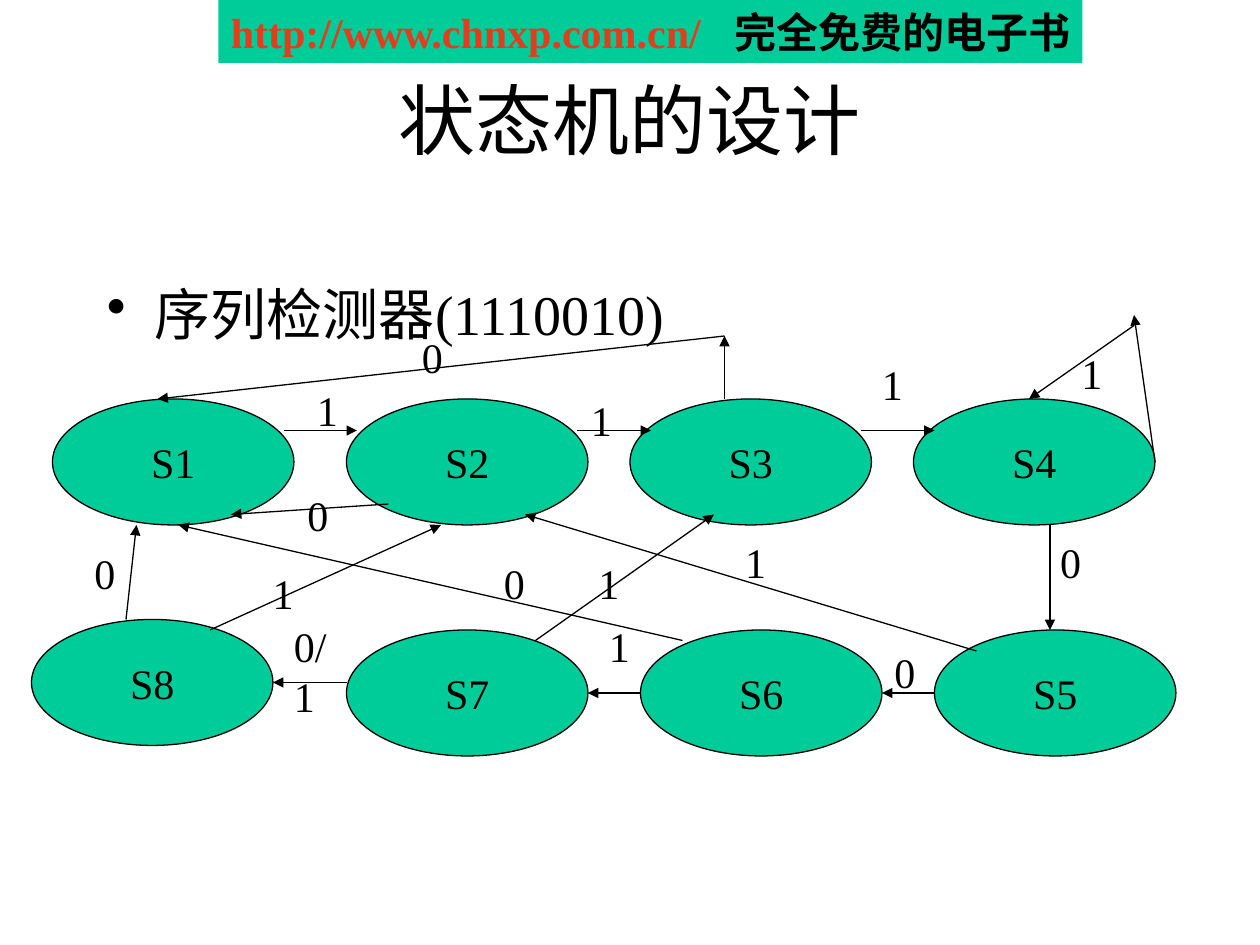
"""Build the slide of the sequence detector's state machine."""
from dataclasses import dataclass
from typing import Any, Optional

from lxml.etree import SubElement
from pptx import Presentation
from pptx.dml.color import RGBColor
from pptx.enum.shapes import MSO_CONNECTOR, MSO_SHAPE
from pptx.enum.text import MSO_ANCHOR as Anchor, PP_ALIGN as Align
from pptx.oxml.ns import qn
from pptx.util import Emu, Inches, Pt

GREEN = RGBColor(0x00, 0xCC, 0x99)
RED = RGBColor(0xE0, 0x3E, 0x1E)
BLACK = RGBColor(0x00, 0x00, 0x00)
WIDTH, HEIGHT = Inches(10), Inches(7.5)
COLUMNS, ROWS = 120, 90
UNIT = WIDTH // COLUMNS
STATE_SIZE = (23, 12)
LABEL_HEIGHT = 6
FONT = {"name": "Times New Roman", "size": Pt(24), "bold": False}
FRAME = {"margin_left": Inches(0.1), "margin_right": Inches(0.1),
         "margin_top": Inches(0.05), "margin_bottom": Inches(0.05)}
Point = tuple[float, float]


@dataclass(frozen=True)
class State:
    name: str
    corner: Point


@dataclass(frozen=True)
class Transition:
    start: Point
    end: Point
    label: Optional[str] = None
    label_corner: Point = (0, 0)
    label_width: float = 4.3


STATES = [
    State("S1", (5, 38)), State("S2", (33, 38)), State("S3", (60, 38)), State("S4", (87, 38)),
    State("S8", (3, 59)), State("S7", (33, 60)), State("S6", (61, 60)), State("S5", (89, 60)),
]

TRANSITIONS = [
    Transition((27, 41), (34, 41), "1", (29, 36)),
    Transition((55, 41), (62, 41), "1", (55.1, 37)),
    Transition((82, 41), (89, 41), "1", (82.8, 33.6)),
    Transition((100, 50), (100, 60), "0", (99.8, 50.5)),
    Transition((89, 66), (84, 66), "0", (84, 61)),
    Transition((61, 66), (56, 66), "1", (56.8, 58.5)),
    Transition((33, 65), (26, 65), "0/1", (26.8, 58.5), 7.4),
    Transition((37, 48), (22, 49), "0", (28.1, 46)),
    Transition((69, 38), (69, 32)),
    Transition((69, 32), (15, 38), "0", (39, 31)),
    Transition((110, 44), (108, 30)),
    Transition((108, 31), (98, 38), "1", (101.8, 32.5)),
    Transition((93, 62), (50, 49), "1", (69.8, 50.5)),
    Transition((65, 61), (17, 50), "0", (46.8, 52.5)),
    Transition((51, 61), (68, 49), "1", (55.8, 52.5)),
    Transition((12, 59), (13, 50), "0", (7.8, 51.6)),
    Transition((20, 60), (42, 50), "1", (24.8, 53.5)),
]


def grid(*values: float) -> list[Emu]:
    """Turn grid units into lengths."""
    return [Emu(round(value * UNIT)) for value in values]


def apply_format(target: Any, values: dict[str, Any]) -> None:
    """Set each named attribute on the target."""
    for name, value in values.items():
        setattr(target, name, value)


def write(shape: Any, text: str, align: Align = Align.LEFT, anchor: Anchor = Anchor.TOP,
          wrap: bool = False, **font: Any) -> Any:
    """Fill a shape with one formatted paragraph and return the paragraph."""
    apply_format(shape.text_frame, FRAME | {"vertical_anchor": anchor, "word_wrap": wrap})
    paragraph = shape.text_frame.paragraphs[0]
    paragraph.alignment = align
    add_run(paragraph, text, **font)
    return paragraph


def add_run(paragraph: Any, text: str, color: RGBColor = BLACK, **font: Any) -> None:
    """Append a formatted run to a paragraph."""
    run = paragraph.add_run()
    run.text = text
    apply_format(run.font, FONT | font)
    run.font.color.rgb = color


def add_filled(slide: Any, kind: MSO_SHAPE, *box: float) -> Any:
    """Draw a green preset shape without a shadow."""
    shape = slide.shapes.add_shape(kind, *grid(*box))
    shape.shadow.inherit = False
    shape.fill.solid()
    shape.fill.fore_color.rgb = GREEN
    return shape


def set_outline(line: Any) -> None:
    """Give a shape or connector a thin black line."""
    line.color.rgb = BLACK
    line.width = Pt(0.75)


def add_banner(slide: Any) -> None:
    """Draw the banner at the top edge."""
    banner = add_filled(slide, MSO_SHAPE.RECTANGLE, 20.8, 0, 82.3, 6)
    banner.line.fill.background()
    paragraph = write(banner, "http://www.chnxp.com.cn/", anchor=Anchor.MIDDLE,
                      color=RED, bold=True)
    add_run(paragraph, "\t完全免费的电子书", bold=True)
    tabs = SubElement(paragraph.runs[0]._r.getparent().get_or_add_pPr(), qn("a:tabLst"))
    SubElement(tabs, qn("a:tab"), pos=str(Inches(4)), algn="l")


def add_title(slide: Any) -> None:
    """Place and format the title."""
    title = slide.shapes.title
    sides = ("left", "top", "width", "height")
    apply_format(title, dict(zip(sides, grid(9, 8, 102, 15))))
    write(title, "状态机的设计", Align.CENTER, Anchor.MIDDLE, True, size=Pt(44))
    title.text_frame.margin_bottom = Inches(0.75)


def add_topic(slide: Any) -> None:
    """Write the bulleted topic line."""
    box = slide.shapes.add_textbox(*grid(9, 26, 102, 8))
    paragraph = write(box, "序列检测器(1110010)", wrap=True, size=Pt(32))
    properties = paragraph.runs[0]._r.getparent().get_or_add_pPr()
    apply_format(paragraph, {"space_before": Pt(0)})
    indent = Inches(0.38)
    properties.set("marL", str(indent))
    properties.set("indent", str(-indent))
    SubElement(properties, qn("a:buChar"), char="•")


def add_state(slide: Any, state: State) -> None:
    """Draw one state as a labelled ellipse."""
    ellipse = add_filled(slide, MSO_SHAPE.OVAL, *state.corner, *STATE_SIZE)
    set_outline(ellipse.line)
    write(ellipse, state.name, Align.CENTER, Anchor.MIDDLE)


def add_transition(slide: Any, transition: Transition) -> None:
    """Draw one arrow and its input label."""
    arrow = slide.shapes.add_connector(
        MSO_CONNECTOR.STRAIGHT, *grid(*transition.start, *transition.end))
    set_outline(arrow.line)
    properties = arrow._element.spPr
    SubElement(properties.find(qn("a:ln")), qn("a:tailEnd"), type="triangle")
    SubElement(properties, qn("a:effectLst"))
    if transition.label:
        box = slide.shapes.add_textbox(
            *grid(*transition.label_corner, transition.label_width, LABEL_HEIGHT))
        write(box, transition.label)


def main() -> None:
    """Build and save the presentation."""
    presentation = Presentation()
    apply_format(presentation, {"slide_width": WIDTH, "slide_height": HEIGHT})
    slide = presentation.slides.add_slide(presentation.slide_layouts[5])
    add_banner(slide)
    add_title(slide)
    add_topic(slide)
    for state in STATES:
        add_state(slide, state)
    for transition in TRANSITIONS:
        add_transition(slide, transition)
    presentation.save("out.pptx")


if __name__ == "__main__":
    main()
